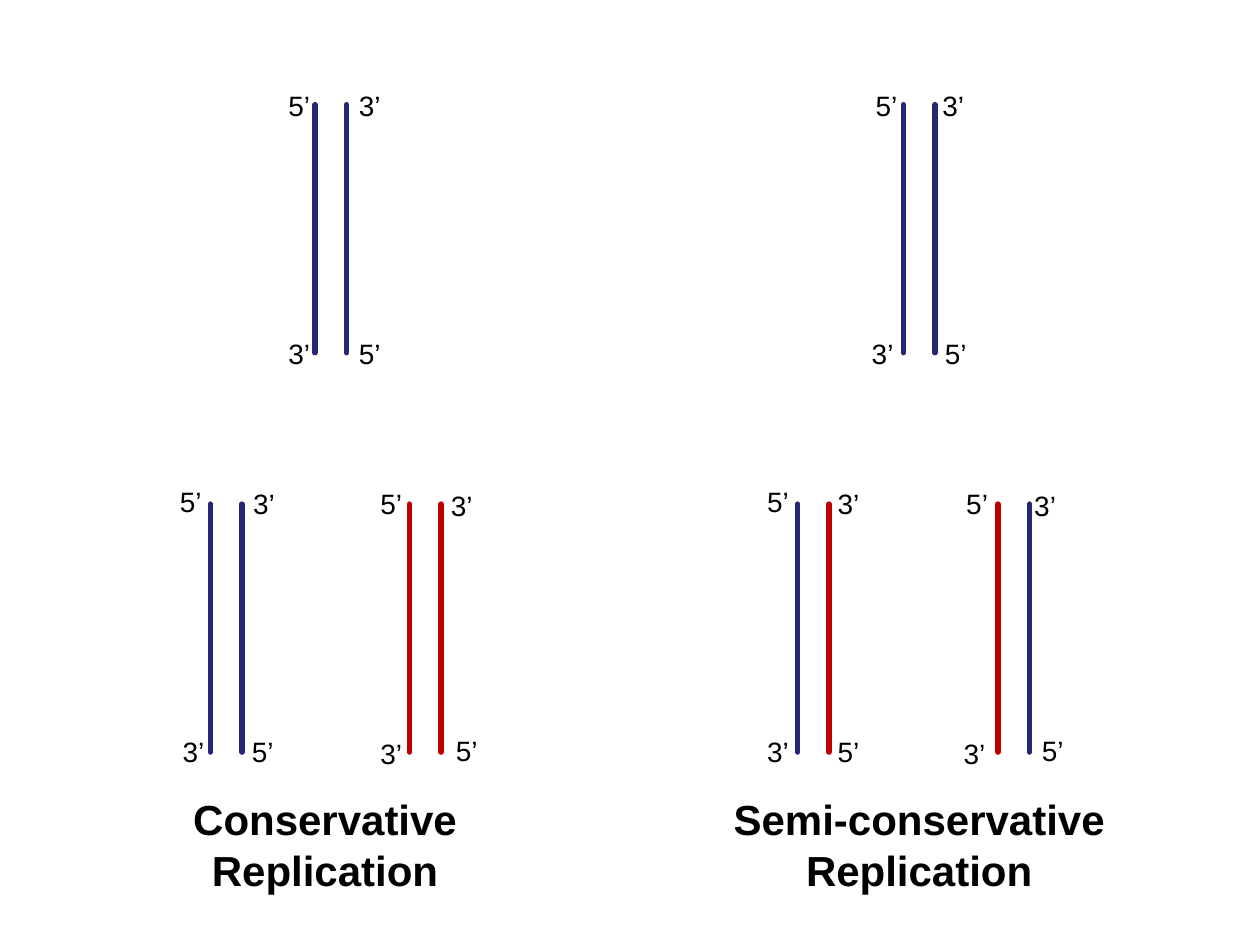
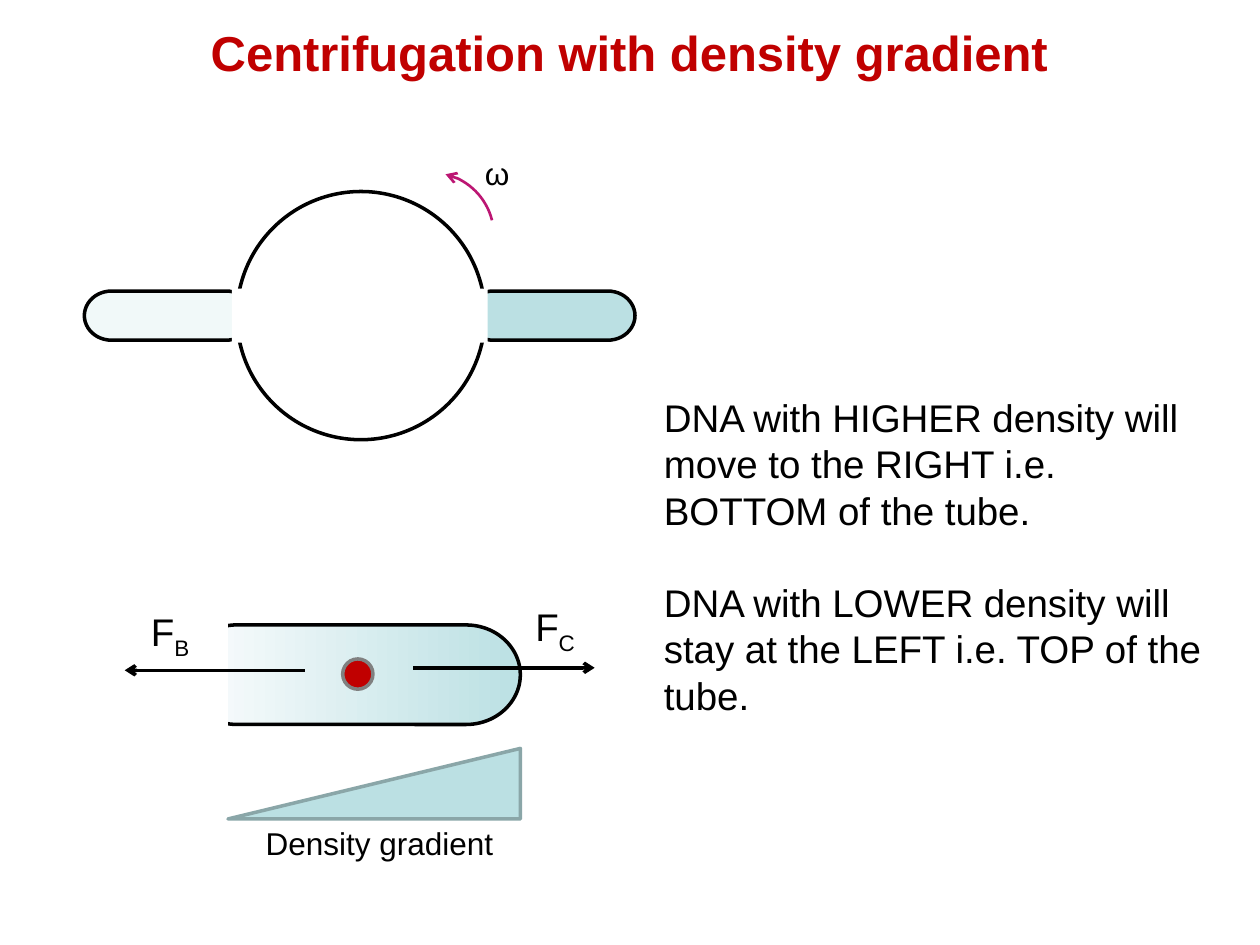
from dataclasses import dataclass
from typing import NamedTuple

from pptx import Presentation
from pptx.dml.color import RGBColor
from pptx.enum.shapes import MSO_CONNECTOR, MSO_SHAPE
from pptx.enum.text import MSO_ANCHOR, MSO_AUTO_SIZE, PP_ALIGN
from pptx.oxml.ns import qn
from pptx.util import Inches, Pt

STRAIGHT = MSO_CONNECTOR.STRAIGHT
ELLIPSE, RECT, ARC = MSO_SHAPE.OVAL, MSO_SHAPE.RECTANGLE, MSO_SHAPE.ARC
TUBE, TRIANGLE = MSO_SHAPE.FLOWCHART_TERMINATOR, MSO_SHAPE.RIGHT_TRIANGLE
LEFT, CENTER = PP_ALIGN.LEFT, PP_ALIGN.CENTER
TOP = MSO_ANCHOR.TOP
GROW, FIXED = MSO_AUTO_SIZE.SHAPE_TO_FIT_TEXT, MSO_AUTO_SIZE.NONE
TITLE_ONLY, BLANK = 5, 6


@dataclass(frozen=True)
class Theme:
    font: str = "Arial"
    black: str = "000000"
    white: str = "FFFFFF"
    old_strand: str = "262673"
    red: str = "C00000"
    dense: str = "BBE0E3"
    light: str = "F1F9F9"
    lightest: str = "FCFDFE"
    triangle_edge: str = "8AA6A8"
    particle_edge: str = "808080"
    rotation: str = "BC1673"
    title: int = 28
    caption: int = 24
    body: int = 22
    note: int = 18
    label: int = 16
    paragraph_gap: float = 26.5
    outline: float = 2
    strand: float = 3
    thin: float = 1.5


THEME = Theme()


class Area(NamedTuple):
    left: float
    top: float
    width: float
    height: float


class Point(NamedTuple):
    x: float
    y: float


class Duplex(NamedTuple):
    """Two strands, with the corners of the labels at their four ends."""
    start: Point
    colors: tuple[str, str]
    top_left: Point
    top_right: Point
    bottom_left: Point
    bottom_right: Point


class Figure(NamedTuple):
    kind: int
    area: Area
    fill: str | tuple[str, str] | None = None
    line: str | None = None
    weight: float = THEME.outline


class Force(NamedTuple):
    start: Point
    end: Point
    label_at: Point
    subscript: str


STRAND_GAP, STRAND_LENGTH = 0.25, 1.97
OLD, NEW = THEME.old_strand, THEME.red

DUPLEXES = [
    Duplex(Point(2.5, 0.83), (OLD, OLD), Point(2.19, 0.65), Point(2.75, 0.65),
           Point(2.19, 2.62), Point(2.75, 2.62)),
    Duplex(Point(1.67, 4), (OLD, OLD), Point(1.33, 3.8), Point(1.91, 3.81),
           Point(1.35, 5.78), Point(1.9, 5.78)),
    Duplex(Point(3.25, 4), (NEW, NEW), Point(2.92, 3.81), Point(3.48, 3.83),
           Point(2.92, 5.8), Point(3.52, 5.77)),
    Duplex(Point(7.17, 0.83), (OLD, OLD), Point(6.85, 0.65), Point(7.38, 0.65),
           Point(6.82, 2.62), Point(7.4, 2.62)),
    Duplex(Point(6.33, 4), (OLD, NEW), Point(5.99, 3.8), Point(6.55, 3.81),
           Point(5.99, 5.78), Point(6.55, 5.78)),
    Duplex(Point(7.92, 4), (NEW, OLD), Point(7.57, 3.81), Point(8.11, 3.83),
           Point(7.55, 5.8), Point(8.17, 5.77)),
]

CAPTIONS = [
    ("Conservative Replication", Area(1.08, 6.25, 3, 0.91)),
    ("Semi-conservative Replication", Area(5.67, 6.25, 3.25, 0.91)),
]

ROTOR = [
    Figure(ELLIPSE, Area(1.88, 1.52, 1.97, 1.97), None, THEME.black),
    Figure(TUBE, Area(3.7, 2.31, 1.34, 0.39), THEME.dense, THEME.black),
    Figure(RECT, Area(3.63, 2.29, 0.24, 0.43), THEME.white),
    Figure(TUBE, Area(0.67, 2.31, 1.34, 0.39), THEME.light, THEME.black),
    Figure(RECT, Area(1.84, 2.29, 0.24, 0.43), THEME.white),
]
ROTATION = Figure(ARC, Area(2.92, 1.37, 1, 1), None, THEME.rotation, THEME.thin)
ROTATION_DEGREES = (283.45, 345.96)
DEGREE = 0.6  # one degree in adjustment units

GRADIENT_TUBE = [
    Figure(TUBE, Area(1.45, 4.96, 2.68, 0.79),
           (THEME.lightest, THEME.dense), THEME.black),
    Figure(RECT, Area(1.34, 4.92, 0.47, 0.87), THEME.white),
]
FORCES = [
    Force(Point(3.28, 5.3), Point(4.72, 5.3), Point(4.15, 4.74), "C"),
    Force(Point(2.42, 5.32), Point(0.99, 5.32), Point(1.1, 4.78), "B"),
]
DENSITY_WEDGE = Figure(TRIANGLE, Area(1.81, 5.94, 2.32, 0.56),
                       THEME.dense, THEME.triangle_edge)
PARTICLE = Figure(ELLIPSE, Area(2.72, 5.23, 0.24, 0.24),
                  THEME.red, THEME.particle_edge)
EXPLANATION = [
    "DNA with HIGHER density will move to the RIGHT i.e. BOTTOM of the tube.",
    "DNA with LOWER density will stay at the LEFT i.e. TOP of the tube.",
]


def rgb(color: str) -> RGBColor:
    return RGBColor.from_string(color)


def set_all(target, values: dict) -> None:
    for name, value in values.items():
        setattr(target, name, value)


def inches(area: Area) -> list:
    return [Inches(length) for length in area]


def format_text(box, size: float, color: str = THEME.black, bold: bool = False,
                align=LEFT, wrap: bool = True, auto_size=GROW) -> None:
    set_all(box.text_frame, {"word_wrap": wrap, "auto_size": auto_size,
                             "vertical_anchor": TOP})
    for para in box.text_frame.paragraphs:
        para.alignment = align
        for span in para.runs:
            set_all(span.font, {"name": THEME.font, "size": Pt(size), "bold": bold})
            span.font.color.rgb = rgb(color)


def add_text(page, text: str, area: Area, size: float, **style):
    box = page.shapes.add_textbox(*inches(area))
    box.text_frame.text = text
    format_text(box, size, **style)
    return box


def add_arrowhead(shape, end: str) -> None:
    """Put an open arrowhead on the "headEnd" or "tailEnd" of a line."""
    line = shape.get_or_add_ln()
    line.append(line.makeelement(qn(f"a:{end}"), {"type": "arrow"}))


def add_line(page, start: Point, end: Point, color: str, weight: float):
    line = page.shapes.add_connector(
        STRAIGHT, *[Inches(length) for length in (*start, *end)])
    line.line.color.rgb = rgb(color)
    line.line.width = Pt(weight)
    properties = line.element.spPr
    properties.append(properties.makeelement(qn("a:effectLst"), {}))
    return line


def add_figure(page, figure: Figure):
    shape = page.shapes.add_shape(figure.kind, *inches(figure.area))
    shape.shadow.inherit = False
    if figure.fill is None:
        shape.fill.background()
    elif isinstance(figure.fill, tuple):
        shape.fill.gradient()
        shape.fill.gradient_angle = 0
        for stop, color in zip(shape.fill.gradient_stops, figure.fill):
            stop.color.rgb = rgb(color)
    else:
        shape.fill.solid()
        shape.fill.fore_color.rgb = rgb(figure.fill)
    if figure.line is None:
        shape.line.fill.background()
    else:
        shape.line.color.rgb = rgb(figure.line)
        shape.line.width = Pt(figure.weight)
    return shape


def add_duplex(page, duplex: Duplex) -> None:
    x, y = duplex.start
    for index, color in enumerate(duplex.colors):
        strand_x = x + index * STRAND_GAP
        strand = add_line(page, Point(strand_x, y),
                          Point(strand_x, y + STRAND_LENGTH), color, THEME.strand)
        strand.get_or_add_ln().set("cap", "rnd")
    for text, corner in (("5’", duplex.top_left), ("3’", duplex.top_right),
                         ("3’", duplex.bottom_left), ("5’", duplex.bottom_right)):
        add_text(page, text, Area(*corner, 0.38, 0.37), THEME.label, wrap=False)


def add_force(page, force: Force) -> None:
    arrow = add_line(page, force.start, force.end, THEME.black, THEME.outline)
    add_arrowhead(arrow, "tailEnd")
    box = add_text(page, "F", Area(*force.label_at, 0.54, 0.47), THEME.body)
    span = box.text_frame.paragraphs[0].add_run()
    span.text = force.subscript
    format_text(box, THEME.body, wrap=False)
    span.font._element.set("baseline", "-25000")


def build_replication(deck) -> None:
    page = deck.slides.add_slide(deck.slide_layouts[BLANK])
    for text, area in CAPTIONS:
        add_text(page, text, area, THEME.caption, bold=True, align=CENTER)
    for duplex in DUPLEXES:
        add_duplex(page, duplex)


def build_centrifugation(deck) -> None:
    page = deck.slides.add_slide(deck.slide_layouts[TITLE_ONLY])
    title = page.shapes.title
    left, top, width, height = inches(Area(1.08, 0.13, 7.83, 0.57))
    set_all(title, {"left": left, "top": top, "width": width, "height": height})
    title.text_frame.text = "Centrifugation with density gradient"
    format_text(title, THEME.title, THEME.red, bold=True, align=CENTER,
                auto_size=FIXED)

    for figure in ROTOR:
        add_figure(page, figure)
    rotation = add_figure(page, ROTATION)
    for index, degrees in enumerate(ROTATION_DEGREES):
        rotation.adjustments[index] = degrees * DEGREE
    add_arrowhead(rotation, "headEnd")
    add_text(page, "ω", Area(3.75, 1.17, 0.38, 0.4), THEME.note, wrap=False)

    for figure in GRADIENT_TUBE:
        add_figure(page, figure)
    for force in FORCES:
        add_force(page, force)
    wedge = add_figure(page, DENSITY_WEDGE)
    wedge.element.spPr.find(qn("a:xfrm")).set("flipH", "1")
    add_text(page, "Density gradient", Area(2.01, 6.49, 2.03, 0.4),
             THEME.note, wrap=False)
    add_figure(page, PARTICLE)

    box = add_text(page, "\n".join(EXPLANATION), Area(5.17, 3.08, 4.58, 2.69),
                   THEME.body)
    box.text_frame.paragraphs[0].space_after = Pt(THEME.paragraph_gap)


def main() -> None:
    deck = Presentation()
    set_all(deck, {"slide_width": Inches(10), "slide_height": Inches(7.5)})
    build_replication(deck)
    build_centrifugation(deck)
    deck.save("out.pptx")


if __name__ == "__main__":
    main()
